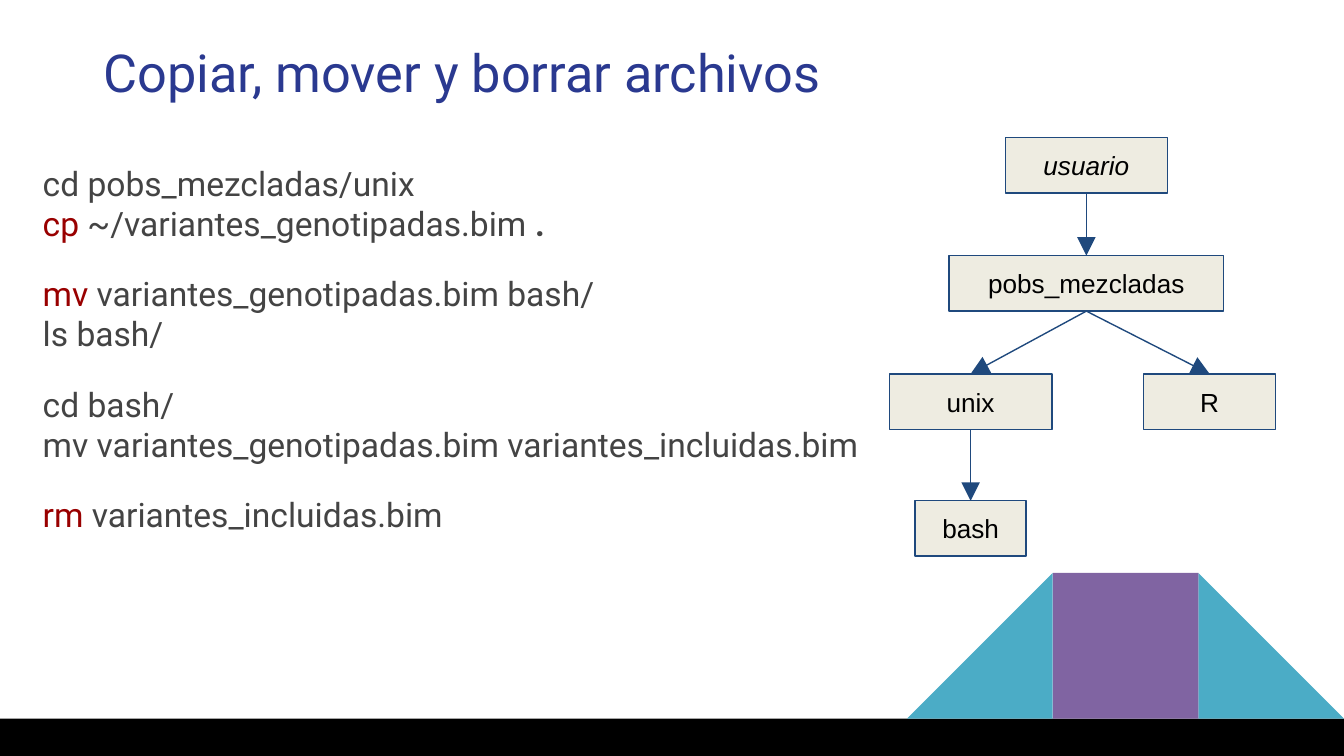
from lxml import etree
from pptx import Presentation
from pptx.dml.color import RGBColor
from pptx.enum.shapes import MSO_CONNECTOR, MSO_SHAPE
from pptx.enum.text import MSO_ANCHOR, PP_ALIGN
from pptx.oxml.ns import qn
from pptx.util import Pt

RECTANGLE = MSO_SHAPE.RECTANGLE
TRIANGLE = MSO_SHAPE.RIGHT_TRIANGLE
STRAIGHT = MSO_CONNECTOR.STRAIGHT
MIDDLE = MSO_ANCHOR.MIDDLE
CENTER = PP_ALIGN.CENTER
TOP_SITE, BOTTOM_SITE = 0, 2

COLORS = {
    "title": "2A3990", "text": "444444", "command": "990000",
    "node": "EEECE1", "edge": "1F497D", "label": "000000",
    "teal": "4BACC6", "purple": "8064A2", "bar": "000000",
}
MARGIN = 7.2
GROUP_GAP = 16
COMMAND_GROUPS = [
    [("cd pobs_mezcladas/unix",), ("cp", " ~/variantes_genotipadas.bim ", ".")],
    [("mv", " variantes_genotipadas.bim bash/"), ("ls bash/",)],
    [("cd bash/",), ("mv variantes_genotipadas.bim variantes_incluidas.bim",)],
    [("rm", " variantes_incluidas.bim")],
]
NODE_HEIGHT = 29.7
FOLDERS = {
    "usuario": (105.5, 0, 87),
    "pobs_mezcladas": (105.5, 63.3, 147),
    "unix": (43.5, 126.6, 87),
    "R": (171.5, 126.6, 70.5),
    "bash": (43.5, 194.6, 59.5),
}
BRANCHES = [
    ("usuario", "pobs_mezcladas"), ("pobs_mezcladas", "unix"),
    ("pobs_mezcladas", "R"), ("unix", "bash"),
]


def rgb(name):
    return RGBColor.from_string(COLORS[name])


def style_font(font, name, size, color):
    font.name = name
    font.size = Pt(size)
    font.color.rgb = rgb(color)


def set_margins(frame):
    frame.margin_left = frame.margin_right = Pt(MARGIN)
    frame.margin_top = frame.margin_bottom = Pt(MARGIN)


def add_filled(page, kind, box, color):
    shape = page.shapes.add_shape(kind, *map(Pt, box))
    shape.shadow.inherit = False
    shape.fill.solid()
    shape.fill.fore_color.rgb = rgb(color)
    shape.line.fill.background()
    return shape


def add_text_frame(page, box):
    frame = page.shapes.add_textbox(*map(Pt, box)).text_frame
    frame.word_wrap = True
    set_margins(frame)
    return frame


def add_footer(page, box):
    left, top, width, height = box
    add_filled(page, RECTANGLE, box, "bar")
    side = 78
    right = left + width
    peak = top - side
    add_filled(page, TRIANGLE, (right - side, peak, side, side), "teal")
    mirrored = add_filled(page, TRIANGLE, (right - 3 * side, peak, side, side), "teal")
    mirrored.element.spPr.find(qn("a:xfrm")).set("flipH", "1")
    add_filled(page, RECTANGLE, (right - 2 * side, peak, side, side), "purple")


def add_title(page, box):
    para = add_text_frame(page, box).paragraphs[0]
    para.text = "Copiar, mover y borrar archivos"
    style_font(para.font, "Roboto", 28, "title")


def add_commands(page, box):
    frame = add_text_frame(page, box)
    para = frame.paragraphs[0]
    for group_index, group in enumerate(COMMAND_GROUPS):
        for line_index, parts in enumerate(group):
            if group_index or line_index:
                para = frame.add_paragraph()
            if group_index and not line_index:
                para.space_before = Pt(GROUP_GAP)
            style_font(para.font, "Roboto", 18, "text")
            for part in parts:
                span = para.add_run()
                span.text = part
                if part in ("cp", "mv", "rm"):
                    span.font.color.rgb = rgb("command")
                elif part == ".":
                    span.font.bold = True


def add_folder(page, name, box):
    node = add_filled(page, RECTANGLE, box, "node")
    node.line.color.rgb = rgb("edge")
    node.line.width = Pt(0.75)
    frame = node.text_frame
    frame.word_wrap = True
    frame.vertical_anchor = MIDDLE
    set_margins(frame)
    para = frame.paragraphs[0]
    para.text = name
    para.alignment = CENTER
    style_font(para.font, "Arial", 14, "label")
    para.font.italic = name == "usuario"
    return node


def add_arrow(page, parent, child):
    arrow = page.shapes.add_connector(STRAIGHT, 0, 0, 0, 0)
    arrow.begin_connect(parent, BOTTOM_SITE)
    arrow.end_connect(child, TOP_SITE)
    arrow.line.color.rgb = rgb("edge")
    arrow.line.width = Pt(0.75)
    properties = arrow.element.spPr
    etree.SubElement(properties.find(qn("a:ln")), qn("a:tailEnd"),
                     type="triangle", w="lg", len="lg")
    etree.SubElement(properties, qn("a:effectLst"))


def add_folder_tree(page, box):
    left, top, _, _ = box
    nodes = {}
    for name, (center, offset, width) in FOLDERS.items():
        place = (left + center - width / 2, top + offset, width, NODE_HEIGHT)
        nodes[name] = add_folder(page, name, place)
    for parent, child in BRANCHES:
        add_arrow(page, nodes[parent], nodes[child])


def main():
    deck = Presentation()
    deck.slide_width, deck.slide_height = Pt(720), Pt(405)
    page = deck.slides.add_slide(deck.slide_layouts[6])
    add_footer(page, (0, 385, 720, 20))
    add_title(page, (48.5, 14.5, 470, 48))
    add_commands(page, (15.8, 79.9, 464.4, 257.8))
    add_folder_tree(page, (476.5, 73.7, 207, 224.3))
    deck.save("out.pptx")


if __name__ == "__main__":
    main()
